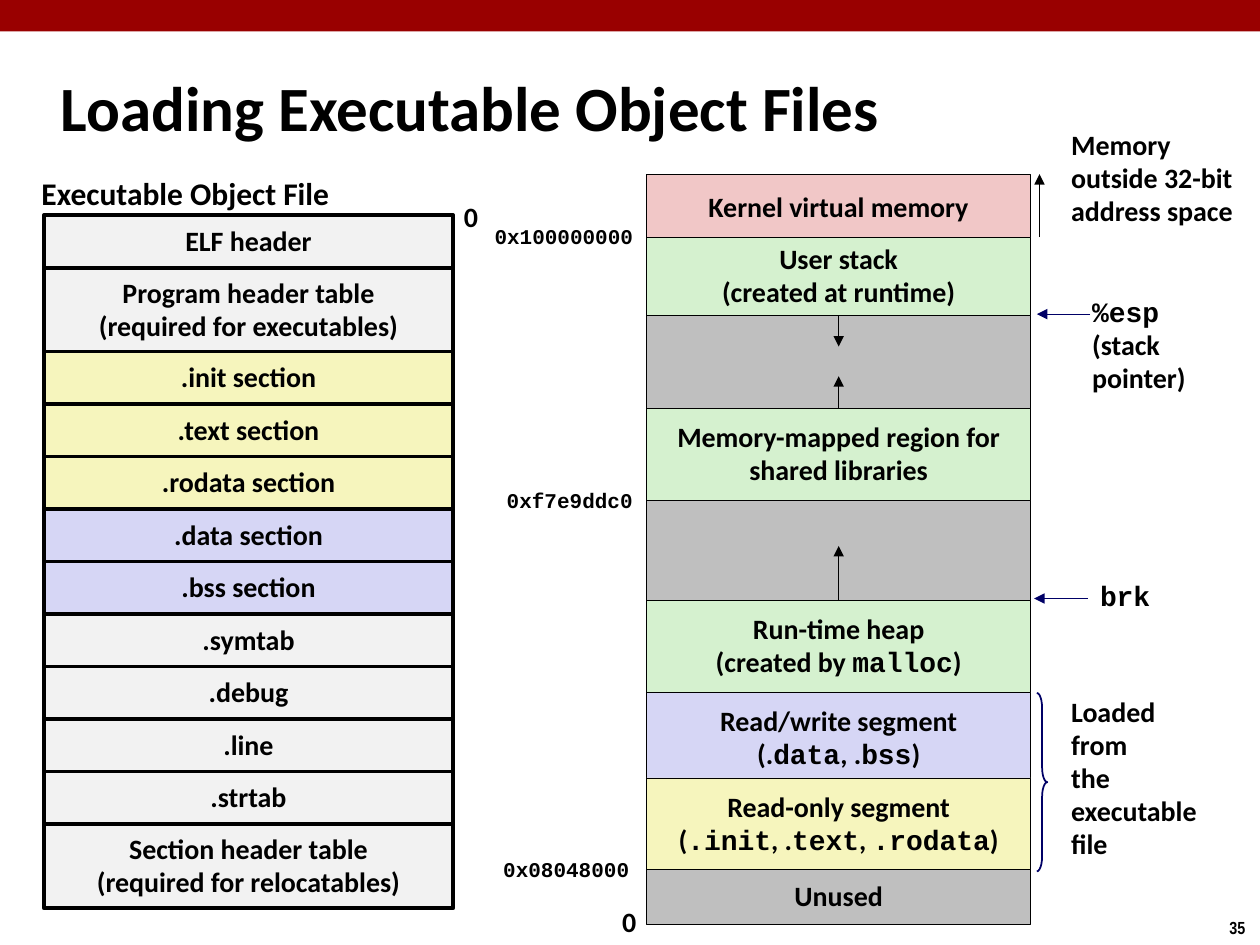
from pptx import Presentation
from pptx import util as u
from pptx.dml.color import RGBColor
from pptx.enum import shapes, text
from pptx.oxml.ns import qn
from lxml import etree

Pt = u.Pt
HUES = {
    "black": "000000", "navy": "000066", "bar": "990000", "light": "F2F2F2",
    "gold": "F6F5BD", "lilac": "D6D6F5", "rose": "F1C7C7", "green": "D5F1CF",
    "gray": "BFBFBF",
}
FILE_ROWS = [
    ("ELF header", "light"),
    ("Program header table\n(required for executables)", "light"),
    (".init section", "gold"),
    (".text section", "gold"),
    (".rodata section", "gold"),
    (".data section", "lilac"),
    (".bss section", "lilac"),
    (".symtab", "light"),
    (".debug", "light"),
    (".line", "light"),
    (".strtab", "light"),
    ("Section header table\n(required for relocatables)", "light"),
]
SEGMENTS = [
    ("kernel", "Kernel virtual memory", "rose", 36, 2),
    ("stack", "User stack\n(created at runtime)", "green", 44.5, 0),
    ("gap", "", "gray", 53.5, 0),
    ("shared", "Memory-mapped region for\nshared libraries", "green", 52.5, 0),
    ("room", "", "gray", 57, 0),
    ("heap", "Run-time heap\n(created by `malloc`)", "green", 52.5, 0),
    ("data", "Read/write segment\n(.`data`, .`bss`)", "lilac", 49, 3.5),
    ("code", "Read-only segment\n(`.init`, .`text`, `.rodata`)", "gold", 52.5, 0),
    ("unused", "Unused", "gray", 31, 0),
]


def hue(name):
    """Return the named colour."""
    return RGBColor.from_string(HUES[name])


def write(frame, words, size=16, font="Calibri", align="LEFT", space=0.98):
    """Fill a frame line by line, with code between backticks."""
    for i, line in enumerate(words.split("\n")):
        para = frame.paragraphs[0] if i == 0 else frame.add_paragraph()
        para.alignment = getattr(text.PP_ALIGN, align)
        para.line_spacing = 0.94 if line.startswith("`") else space
        for j, part in enumerate(line.split("`")):
            if part:
                run = para.add_run()
                run.text = part
                run.font.size, run.font.bold = Pt(size), True
                run.font.name = "Courier New" if j % 2 else font
                run.font.color.rgb = hue("black")


def label(slide, words, x, y, w, h, **style):
    """Place a text box that does not wrap."""
    frame = slide.shapes.add_textbox(Pt(x), Pt(y), Pt(w), Pt(h)).text_frame
    frame.word_wrap = False
    frame.auto_size = text.MSO_AUTO_SIZE.SHAPE_TO_FIT_TEXT
    write(frame, words, **style)


def block(slide, words, x, y, w, h, fill, edge):
    """Draw a filled rectangle with centred text."""
    kind = shapes.MSO_SHAPE.RECTANGLE
    rect = slide.shapes.add_shape(kind, Pt(x), Pt(y), Pt(w), Pt(h))
    rect.shadow.inherit = False
    rect.fill.solid()
    rect.fill.fore_color.rgb = hue(fill)
    if edge:
        rect.line.color.rgb = hue("black")
        rect.line.width = Pt(edge)
    else:
        rect.line.fill.background()
    if words:
        rect.text_frame.word_wrap = False
        rect.text_frame.vertical_anchor = text.MSO_ANCHOR.MIDDLE
        write(rect.text_frame, words, align="CENTER")
    return rect


def arrow(slide, x1, y1, x2, y2, color="black", start=None, side=0):
    """Draw a thin arrow, joined to a start shape if one is given."""
    line = slide.shapes.add_connector(
        shapes.MSO_CONNECTOR.STRAIGHT, Pt(x1), Pt(y1), Pt(x2), Pt(y2))
    line.line.color.rgb = hue(color)
    line.line.width = Pt(0.25)
    props = line._element.spPr
    tip = etree.SubElement(props.find(qn("a:ln")), qn("a:tailEnd"))
    tip.set("type", "triangle")
    etree.SubElement(props, qn("a:effectLst"))
    if start is not None:
        line.begin_connect(start, side)


def header(slide, x, y, w, h):
    """Draw the top bar, the title and the page number."""
    block(slide, "", x, y, w, 18, "bar", 0)
    title = slide.shapes.title
    title.left, title.top = Pt(x + 27.5), Pt(y + 30)
    title.width, title.height = Pt(686), Pt(62)
    title.text_frame.vertical_anchor = text.MSO_ANCHOR.MIDDLE
    write(title.text_frame, "Loading Executable Object Files", size=36, space=1)
    label(slide, "35", x + w - 24.5, y + h - 19.5, 24.5, 19.5,
          size=10, font="Arial Narrow", space=1)


def object_file(slide, x, y, w, h):
    """Stack the parts of the object file."""
    lines = sum(1 + 0.6 * words.count("\n") for words, _ in FILE_ROWS)
    unit, top = h / lines, y
    for words, fill in FILE_ROWS:
        tall = unit * (1 + 0.6 * words.count("\n"))
        block(slide, words, x, top, w, tall, fill, 2)
        top += tall
    label(slide, "Executable Object File", x - 9, y - 26, 180, 29,
          size=18, align="CENTER")
    label(slide, "0", x + w - 1, y - 11.5, 22, 26.5)


def memory(slide, x, y, w, h):
    """Stack the memory segments, with growth arrows and addresses."""
    rects, tops, top = {}, {}, y
    for name, words, fill, tall, over in SEGMENTS:
        rects[name] = block(slide, words, x, top, w, tall + over, fill, 0.25)
        tops[name] = top
        top += tall
    mid = x + w / 2
    for name, edge, side, move in [("stack", "gap", 2, 18),
                                   ("shared", "shared", 0, -18.5),
                                   ("heap", "heap", 0, -31)]:
        start = tops[edge]
        arrow(slide, mid, start, mid, start + move, start=rects[name], side=side)
    for words, name, wide, shift in [("`0x100000000", "stack", 95, 1),
                                     ("`0xf7e9ddc0", "room", 88, 1),
                                     ("`0x08048000", "unused", 88, -1)]:
        label(slide, words, x + shift - wide, tops[name] - 10, wide, 21.5, size=12)
    label(slide, "0", x - 21, y + h - 14, 22, 26.5)


def notes(slide, x, y, w, h):
    """Place the remarks, pointers and brace beside the memory."""
    label(slide, "Memory\noutside 32-bit\naddress space", x + 16, y + 0.5, 107, 64)
    arrow(slide, x + 5, y + 65.5, x + 5, y + 29.5)
    label(slide, "`%esp\n(stack\npointer)", x + 28, y + 96.5, 68.5, 63.5)
    arrow(slide, x + 34, y + 109.5, x + 3.5, y + 109.5, "navy")
    label(slide, "`brk", x + 32.5, y + 258.5, 43, 26)
    arrow(slide, x + 32.5, y + 272, x + 2, y + 272, "navy")
    brace = slide.shapes.add_shape(
        shapes.MSO_SHAPE.RIGHT_BRACE, Pt(x + 3.5), Pt(y + 326), Pt(6), Pt(102))
    brace.shadow.inherit = False
    brace.fill.background()
    brace.line.color.rgb = hue("navy")
    brace.line.width = Pt(1)
    brace.adjustments[0] = 1.42
    label(slide, "Loaded\nfrom\nthe\nexecutable\nfile", x + 16, y + 324.5, 90.5, 102)


def main():
    """Build and save the slide."""
    deck = Presentation()
    deck.slide_width, deck.slide_height = Pt(720), Pt(540)
    slide = deck.slides.add_slide(deck.slide_layouts[5])
    header(slide, 0, 0, 720, 540)
    object_file(slide, 25, 123, 234, 396)
    memory(slide, 369.5, 99.5, 219.5, 428.5)
    notes(slide, 589, 70, 131, 428)
    deck.save("out.pptx")


if __name__ == "__main__":
    main()
